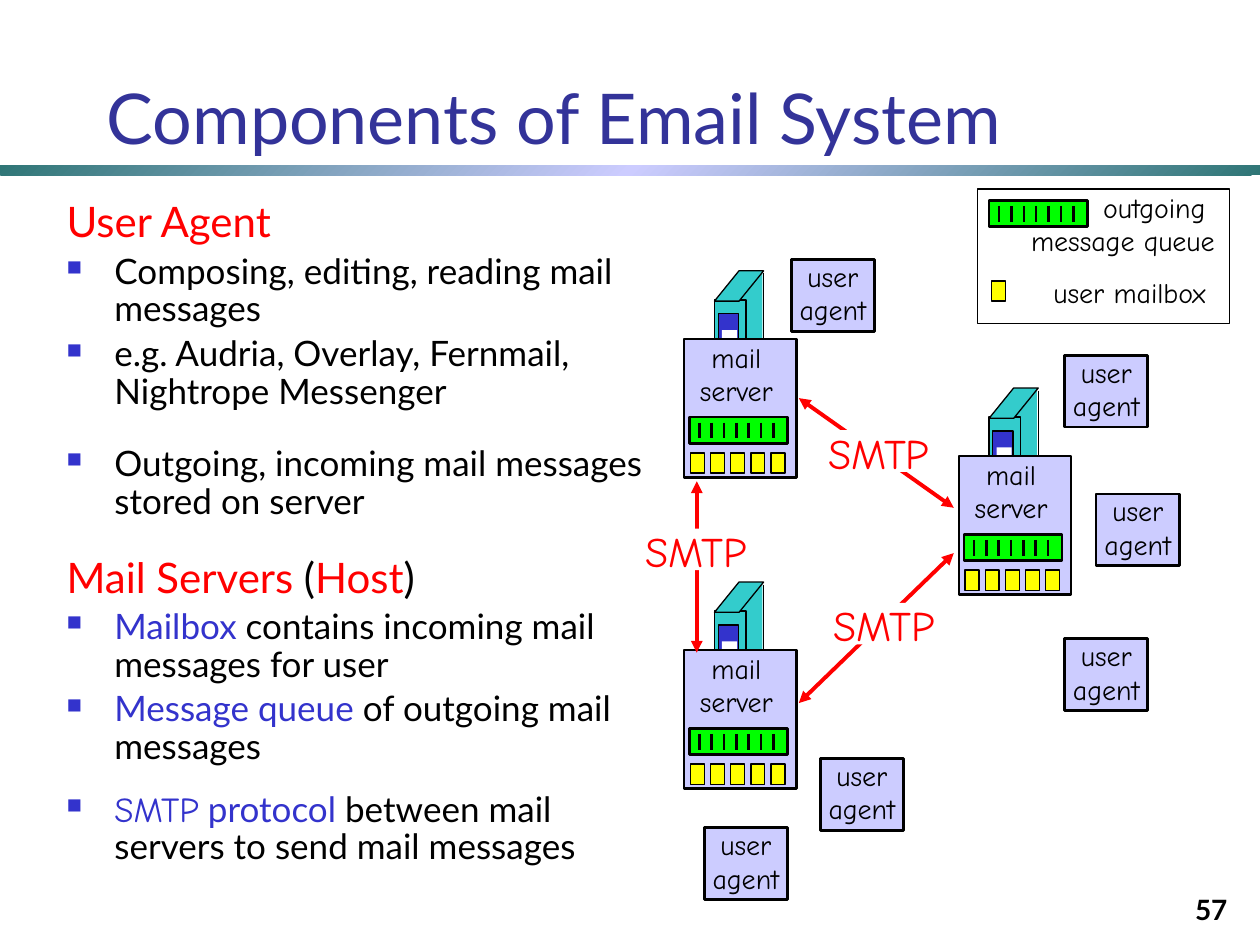
from copy import deepcopy

from pptx import Presentation
from pptx.dml.color import RGBColor
from pptx.enum.shapes import MSO_CONNECTOR, MSO_SHAPE
from pptx.enum.text import MSO_ANCHOR, MSO_AUTO_SIZE, PP_ALIGN
from pptx.oxml.ns import qn
from pptx.util import Inches, Pt
from lxml.etree import SubElement

COLUMNS, ROWS = 100, 75
BLACK, WHITE, RED, BLUE = "000000", "FFFFFF", "FF0000", "3333CC"
TEAL, LILAC, GREEN, YELLOW = "33CCCC", "CCCCFF", "00FF00", "FFFF00"
DEEP_TEAL, NAVY = "2F7676", "333399"
SANS, HAND = "Lato", "Comic Neue"
THIN, MEDIUM, THICK = 0.75, 1.5, 2.25

HEADING = {"size": 24, "color": RED}
BODY_LINES = [
    (0, False, [("User Agent", HEADING)]),
    (4, True, [("Composing, editing, reading mail messages", {})]),
    (4, True, [("e.g. Audria, Overlay, Fernmail, Nightrope Messenger", {})]),
    (19.5, True, [("Outgoing, incoming mail messages stored on server", {})]),
    (20, False, [("Mail Servers", HEADING), (" (", {"size": 24}),
                 ("Host", HEADING), (")", {"size": 24})]),
    (4, True, [("Mailbox", {"color": BLUE}),
               (" contains incoming mail messages for user", {})]),
    (4, True, [("Message queue", {"color": BLUE}),
               (" of outgoing mail messages", {})]),
    (14, True, [("SMTP", {"name": HAND, "color": BLUE}),
                (" protocol", {"color": BLUE}),
                (" between mail servers to send mail messages", {})]),
]
SERVERS = [(76.1, 36.2), (54.3, 51.6), (54.3, 26.9)]
AGENTS = [(84.5, 28.2), (87, 39.2), (84.5, 50.7), (65.1, 60.2),
          (55.9, 65.7), (62.8, 20.6)]
LINKS = [(63.4, 31.6, 75.7, 40.3), (63.4, 55.8, 75.7, 43.9),
         (55.3, 51.8, 55.3, 38.2)]
LINK_LABELS = [(64.5, 47.1), (64.1, 33.4), (49.6, 41.2)]


def rgb(value):
    """Turn a hex string into a colour."""
    return RGBColor.from_string(value)


def assign(target, values):
    """Set each named attribute of the target."""
    for name, value in values.items():
        setattr(target, name, value)


class SlideBuilder:
    """Hold the style and current slide, and place elements on its grid."""

    def __init__(self, deck):
        """Add a blank page and measure one grid cell."""
        self.page = deck.slides.add_slide(deck.slide_layouts[6])
        self.column = deck.slide_width / COLUMNS
        self.row = deck.slide_height / ROWS
        self.style = {"name": SANS, "size": 20, "color": BLACK, "bold": False}

    def place(self, x, y, across, down):
        """Convert two pairs of columns and rows to lengths."""
        return [round(value * unit) for value, unit in
                zip((x, y, across, down), (self.column, self.row) * 2)]

    def shape(self, bounds, fill=None, line=None, kind=MSO_SHAPE.RECTANGLE):
        """Add a flat shape with optional fill and black outline."""
        shape = self.page.shapes.add_shape(kind, *self.place(*bounds))
        shape.shadow.inherit = False
        if fill:
            shape.fill.solid()
            shape.fill.fore_color.rgb = rgb(fill)
        else:
            shape.fill.background()
        if line:
            shape.line.width = Pt(line)
            shape.line.color.rgb = rgb(BLACK)
        else:
            shape.line.fill.background()
        return shape

    def gradient_bar(self, bounds, colors):
        """Add a bar with evenly spaced gradient colours."""
        bar = self.shape(bounds)
        bar.fill.gradient()
        bar.fill.gradient_angle = 315
        stops = bar._element.spPr.find(qn("a:gradFill")).find(qn("a:gsLst"))
        while len(stops) < len(colors):
            stops.append(deepcopy(stops[0]))
        for index, (stop, color) in enumerate(zip(bar.fill.gradient_stops, colors)):
            stop.position = index / (len(colors) - 1)
            stop.color.rgb = rgb(color)

    def line(self, ends, color=BLACK, width=MEDIUM, arrows=False):
        """Add a straight line, with arrowheads at both ends if asked."""
        line = self.page.shapes.add_connector(
            MSO_CONNECTOR.STRAIGHT, *self.place(*ends))
        line.line.width = Pt(width)
        line.line.color.rgb = rgb(color)
        if arrows:
            for tag in ("a:headEnd", "a:tailEnd"):
                SubElement(line.line._ln, qn(tag), type="triangle")
        SubElement(line._element.spPr, qn("a:effectLst"))

    def add_spans(self, para, spans):
        """Add formatted spans to a paragraph."""
        for text, changes in spans:
            span = para.add_run()
            span.text = text
            values = {**self.style, **changes}
            span.font.color.rgb = rgb(values.pop("color"))
            assign(span.font, {**values, "size": Pt(values["size"])})

    def text(self, bounds, lines, align=PP_ALIGN.LEFT,
             anchor=MSO_ANCHOR.TOP, wrap=True, **changes):
        """Add a text box with one paragraph per line."""
        frame = self.page.shapes.add_textbox(*self.place(*bounds)).text_frame
        fit = MSO_AUTO_SIZE.NONE if wrap else MSO_AUTO_SIZE.SHAPE_TO_FIT_TEXT
        assign(frame, {"word_wrap": wrap, "auto_size": fit,
                       "vertical_anchor": anchor})
        for index, line in enumerate(lines):
            para = frame.add_paragraph() if index else frame.paragraphs[0]
            para.alignment = align
            self.add_spans(para, [(line, changes)])

    def label(self, bounds, lines, align=PP_ALIGN.CENTER, size=16, color=BLACK):
        """Add a handwritten label that does not wrap."""
        self.text(bounds, lines, align, wrap=False,
                  name=HAND, size=size, color=color)

    def body(self, bounds, lines):
        """Add the headings and square-bulleted list."""
        frame = self.page.shapes.add_textbox(*self.place(*bounds)).text_frame
        frame.word_wrap = True
        for index, (space, bullet, spans) in enumerate(lines):
            para = frame.add_paragraph() if index else frame.paragraphs[0]
            props = para._p.get_or_add_pPr()
            assign(para, {"line_spacing": 0.9, "space_before": Pt(space)})
            indent = Inches(0.38)
            props.set("marL", str(indent))
            props.set("indent", str(-indent))
            if bullet:
                color = SubElement(props, qn("a:buClr"))
                SubElement(color, qn("a:srgbClr"), val=BLUE)
                SubElement(props, qn("a:buSzPct"), val="60000")
                SubElement(props, qn("a:buChar"), char="■")
            self.add_spans(para, spans)

    def queue(self, x, y):
        """Add a message queue with seven ticks."""
        self.shape((x, y, 7.8, 2.1), GREEN, MEDIUM)
        for index in range(7):
            tick = x + 0.8 + 0.98 * index
            self.line((tick, y + 0.45, tick, y + 1.7))

    def mailbox(self, x, y):
        """Add one user mailbox."""
        self.shape((x, y, 1.1, 1.6), YELLOW, THIN)

    def server(self, x, y):
        """Add a mail server: tower, panel, queue and mailboxes."""
        self.shape((x + 4.4, y - 5.3, 1.8, 7.8), TEAL)
        self.shape((x + 2.4, y - 3.1, 2.5, 7.8), TEAL, THIN)
        roof = self.shape((x + 2.4, y - 5.4, 3.9, 2.4), TEAL, THIN,
                          MSO_SHAPE.PARALLELOGRAM)
        roof.adjustments[0] = 0.81
        self.line((x + 6.3, y - 5.2, x + 6.3, y + 2.5), width=THIN)
        self.shape((x + 2.7, y - 2, 1.6, 4.5), BLUE, THIN)
        self.shape((x + 3, y - 0.7, 1.2, 1.6), WHITE)
        self.shape((x, y, 8.9, 11), LILAC, MEDIUM)
        self.label((x - 0.2, y - 0.4, 8.7, 6.4), ["mail", "server"])
        self.queue(x + 0.4, y + 6.2)
        for index in range(5):
            self.mailbox(x + 0.5 + 1.6 * index, y + 9.05)

    def agent(self, x, y):
        """Add a user agent."""
        self.shape((x, y, 6.6, 5.7), LILAC, MEDIUM)
        self.label((x - 0.6, y - 0.5, 7.8, 6.4), ["user", "agent"])

    def link_label(self, x, y):
        """Add a protocol name on a white patch."""
        self.shape((x + 0.9, y + 0.75, 9.4, 3.3), WHITE)
        self.label((x, y, 11.3, 5), ["SMTP"], size=24, color=RED)

    def legend(self):
        """Add the key to the queue and mailbox symbols."""
        self.shape((77.6, 15, 20, 10.7), line=THIN)
        self.label((82.1, 21.4, 15.1, 3.7), ["user mailbox"])
        self.queue(78.5, 15.9)
        self.mailbox(78.7, 22.3)
        self.label((80.2, 14.6, 17.2, 6.4), ["outgoing ", "message queue"],
                   PP_ALIGN.RIGHT)


def main():
    """Build and save the slide."""
    deck = Presentation()
    assign(deck, {"slide_width": Inches(10), "slide_height": Inches(7.5)})
    slide = SlideBuilder(deck)
    slide.gradient_bar((0, 13.1, COLUMNS, 0.8), [DEEP_TEAL, LILAC, DEEP_TEAL])
    slide.text((77.6, 69, 20.8, 5), ["57"], PP_ALIGN.RIGHT,
               MSO_ANCHOR.BOTTOM, size=16, bold=True)
    slide.text((7.5, 3.6, 92.5, 9.5), ["Components of Email System"],
               anchor=MSO_ANCHOR.BOTTOM, size=40, color=NAVY)
    slide.body((4.3, 15.5, 48, 55.2), BODY_LINES)
    slide.legend()
    for spot in SERVERS:
        slide.server(*spot)
    for spot in AGENTS:
        slide.agent(*spot)
    for ends in LINKS:
        slide.line(ends, RED, THICK, arrows=True)
    for spot in LINK_LABELS:
        slide.link_label(*spot)
    deck.save("out.pptx")


if __name__ == "__main__":
    main()
